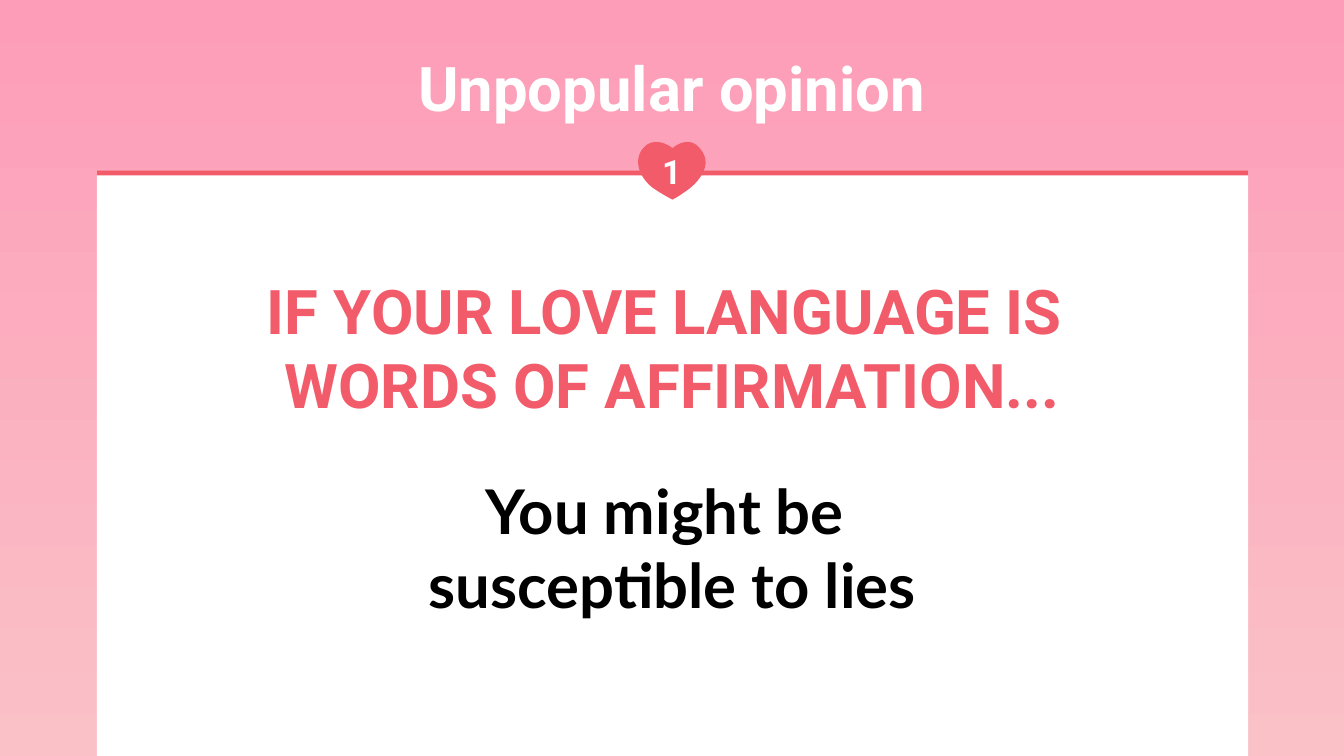
from pptx import Presentation
from pptx.dml.color import RGBColor
from pptx.enum.shapes import MSO_SHAPE
from pptx.enum.text import MSO_ANCHOR, PP_ALIGN
from pptx.util import Inches, Pt

SLIDE_W, SLIDE_H = 13.33, 7.5
CORAL, WHITE, BLACK = "F25B6A", "FFFFFF", "000000"
BACKGROUND = ["FAC1C7", "FD9DB8"]  # bottom to top

HEADING = "Unpopular opinion"
NUMBER = "1"
CONDITION = ["IF YOUR LOVE LANGUAGE IS ", "WORDS OF AFFIRMATION..."]
CONSEQUENCE = ["You might be \vsusceptible to lies"]

CARD_X, CARD_Y, CARD_W = 0.96, 1.69, 11.42
RULE_H = 0.05
HEART_START = (6.38, 1.47)
HEART_CURVES = [
    ((6.47, 1.36), (6.61, 1.42), (6.67, 1.47)),
    ((6.73, 1.42), (6.85, 1.36), (6.94, 1.47)),
    ((7.08, 1.62), (6.94, 1.79), (6.84, 1.87)),
    ((6.77, 1.92), (6.73, 1.95), (6.67, 1.98)),
    ((6.67, 1.98), (6.57, 1.93), (6.47, 1.86)),
    ((6.32, 1.74), (6.29, 1.57), (6.38, 1.47)),
]
CURVE_STEPS = 12


def color(hex_code):
    return RGBColor.from_string(hex_code)


def write(shape, lines, size=44, font="Roboto", fill=WHITE, anchor=MSO_ANCHOR.TOP):
    frame = shape.text_frame
    frame.word_wrap = True
    frame.vertical_anchor = anchor
    frame.text = "\n".join(lines)
    for paragraph in frame.paragraphs:
        paragraph.alignment = PP_ALIGN.CENTER
        paragraph.font.size = Pt(size)
        paragraph.font.name = font
        paragraph.font.bold = True
        paragraph.font.color.rgb = color(fill)


def paint(shape, fill):
    shape.shadow.inherit = False
    shape.fill.solid()
    shape.fill.fore_color.rgb = color(fill)
    shape.line.fill.background()


def add_block(slide, x, y, w, h, fill):
    block = slide.shapes.add_shape(
        MSO_SHAPE.RECTANGLE, Inches(x), Inches(y), Inches(w), Inches(h))
    paint(block, fill)


def curve_points(start, curves):
    """Return points along a chain of cubic curves, in EMU."""
    points = []
    for first, second, end in curves:
        for step in range(1, CURVE_STEPS + 1):
            t = step / CURVE_STEPS
            weights = ((1 - t) ** 3, 3 * t * (1 - t) ** 2, 3 * t * t * (1 - t), t ** 3)
            points.append(tuple(
                Inches(sum(w * v for w, v in zip(weights, axis)))
                for axis in zip(start, first, second, end)))
        start = end
    return points


def add_heart(slide):
    x, y = HEART_START
    builder = slide.shapes.build_freeform(Inches(x), Inches(y))
    builder.add_line_segments(curve_points(HEART_START, HEART_CURVES), close=True)
    heart = builder.convert_to_shape()
    paint(heart, CORAL)
    write(heart, [NUMBER], size=24, anchor=MSO_ANCHOR.MIDDLE)


def main():
    deck = Presentation()
    deck.slide_width, deck.slide_height = Inches(SLIDE_W), Inches(SLIDE_H)
    slide = deck.slides.add_slide(deck.slide_layouts[5])

    backdrop = slide.background.fill
    backdrop.gradient()
    backdrop.gradient_angle = 90
    for stop, position, shade in zip(backdrop.gradient_stops, (0, 1), BACKGROUND):
        stop.position = position
        stop.color.rgb = color(shade)

    title = slide.shapes.title
    title.left, title.top = Inches(4), Inches(0.45)
    title.width, title.height = Inches(5.33), Inches(0.84)
    write(title, [HEADING])

    add_block(slide, CARD_X, CARD_Y, CARD_W, SLIDE_H - CARD_Y, WHITE)
    add_block(slide, CARD_X, CARD_Y, CARD_W, RULE_H, CORAL)
    add_heart(slide)

    condition = slide.shapes.add_textbox(
        Inches(2.15), Inches(2.66), Inches(9.04), Inches(1.58))
    write(condition, CONDITION, fill=CORAL)
    consequence = slide.shapes.add_textbox(
        Inches(2.35), Inches(4.64), Inches(8.64), Inches(1.58))
    write(consequence, CONSEQUENCE, font="Lato", fill=BLACK)

    deck.save("out.pptx")


if __name__ == "__main__":
    main()
